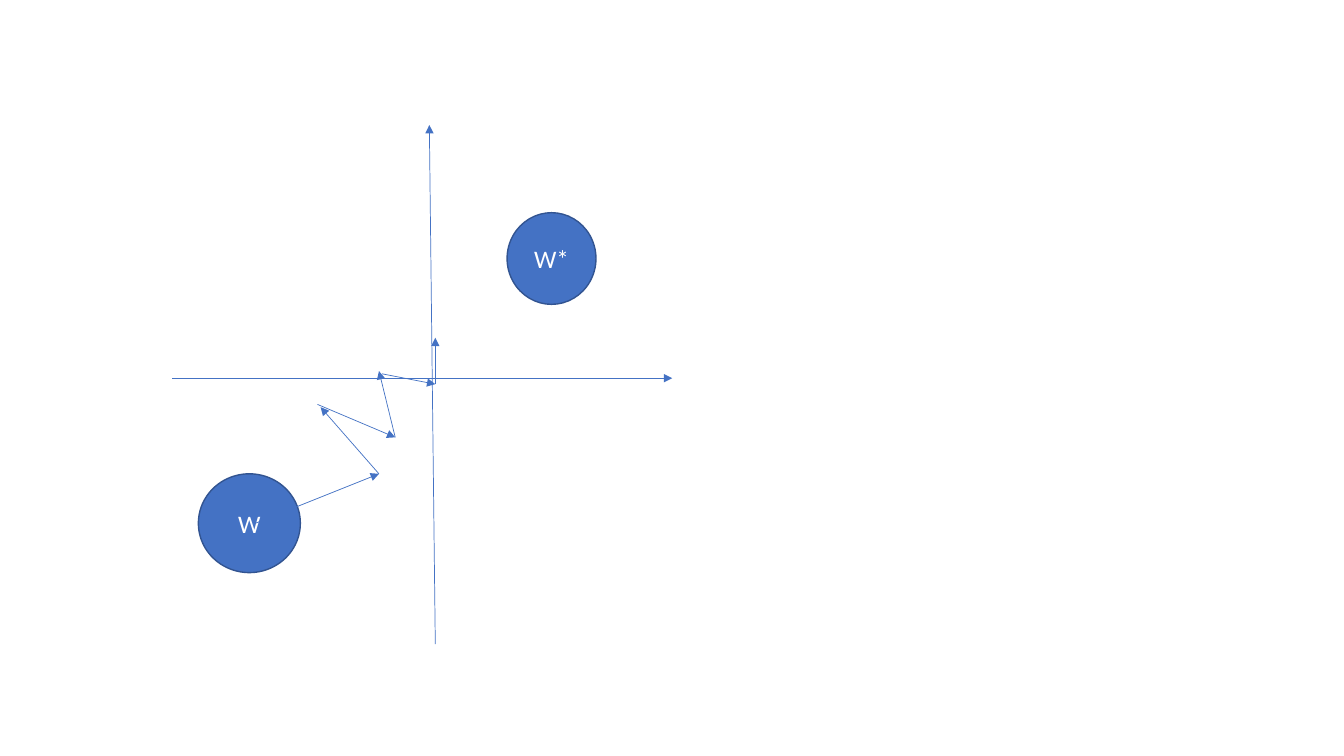
from itertools import pairwise

from lxml.etree import SubElement
from pptx import Presentation
from pptx.dml.color import RGBColor
from pptx.enum.shapes import MSO_CONNECTOR as Connector, MSO_SHAPE as Shape
from pptx.enum.text import MSO_ANCHOR as Anchor, PP_ALIGN as Align
from pptx.oxml.ns import qn
from pptx.util import Cm, Pt

BLUE = RGBColor(0x44, 0x72, 0xC4)
DARK_BLUE = RGBColor(0x32, 0x54, 0x91)
WHITE = RGBColor(0xFF, 0xFF, 0xFF)

# Axes and descent steps as (x, y) points in centimetres
X_AXIS = [(4.34, 9.53), (16.94, 9.53)]
Y_AXIS = [(10.97, 16.23), (10.82, 3.15)]
DESCENT_PATHS = [
    [(6.45, 13.18), (9.55, 11.94), (8.08, 10.26)],
    [(8.0, 10.19), (9.96, 11.02), (9.55, 9.35)],
    [(9.63, 9.42), (10.97, 9.68), (10.97, 8.51)],
]


def write_text(frame, text, *, size=18, font="Calibri", color=WHITE,
               align=Align.CENTER, anchor=Anchor.MIDDLE):
    frame.word_wrap = True
    frame.vertical_anchor = anchor
    paragraph = frame.paragraphs[0]
    paragraph.alignment = align
    run = paragraph.add_run()
    run.text = text
    run.font.size = Pt(size)
    run.font.name = font
    run.font.color.rgb = color


def add_weight(slide, label, left, top, width, height):
    weight = slide.shapes.add_shape(
        Shape.OVAL, Cm(left), Cm(top), Cm(width), Cm(height))
    weight.shadow.inherit = False
    weight.fill.solid()
    weight.fill.fore_color.rgb = BLUE
    weight.line.color.rgb = DARK_BLUE
    weight.line.width = Pt(1)
    write_text(weight.text_frame, label)


def add_arrow(slide, start, end):
    arrow = slide.shapes.add_connector(
        Connector.STRAIGHT, *map(Cm, start), *map(Cm, end))
    arrow.line.color.rgb = BLUE
    arrow.line.width = Pt(0.5)
    # Arrowhead at the end, no shadow
    SubElement(arrow.line._get_or_add_ln(), qn("a:tailEnd"), type="triangle")
    SubElement(arrow._element.spPr, qn("a:effectLst"))


def main():
    deck = Presentation()
    deck.slide_width, deck.slide_height = Cm(33.87), Cm(19.05)
    slide = deck.slides.add_slide(deck.slide_layouts[6])

    # Starting weight and optimum
    add_weight(slide, "W", 5.0, 11.94, 2.57, 2.49)
    add_weight(slide, "W*", 12.78, 5.36, 2.24, 2.31)

    # Axes, then the zigzag of steps
    for points in [X_AXIS, Y_AXIS, *DESCENT_PATHS]:
        for start, end in pairwise(points):
            add_arrow(slide, start, end)

    deck.save("out.pptx")


main()
